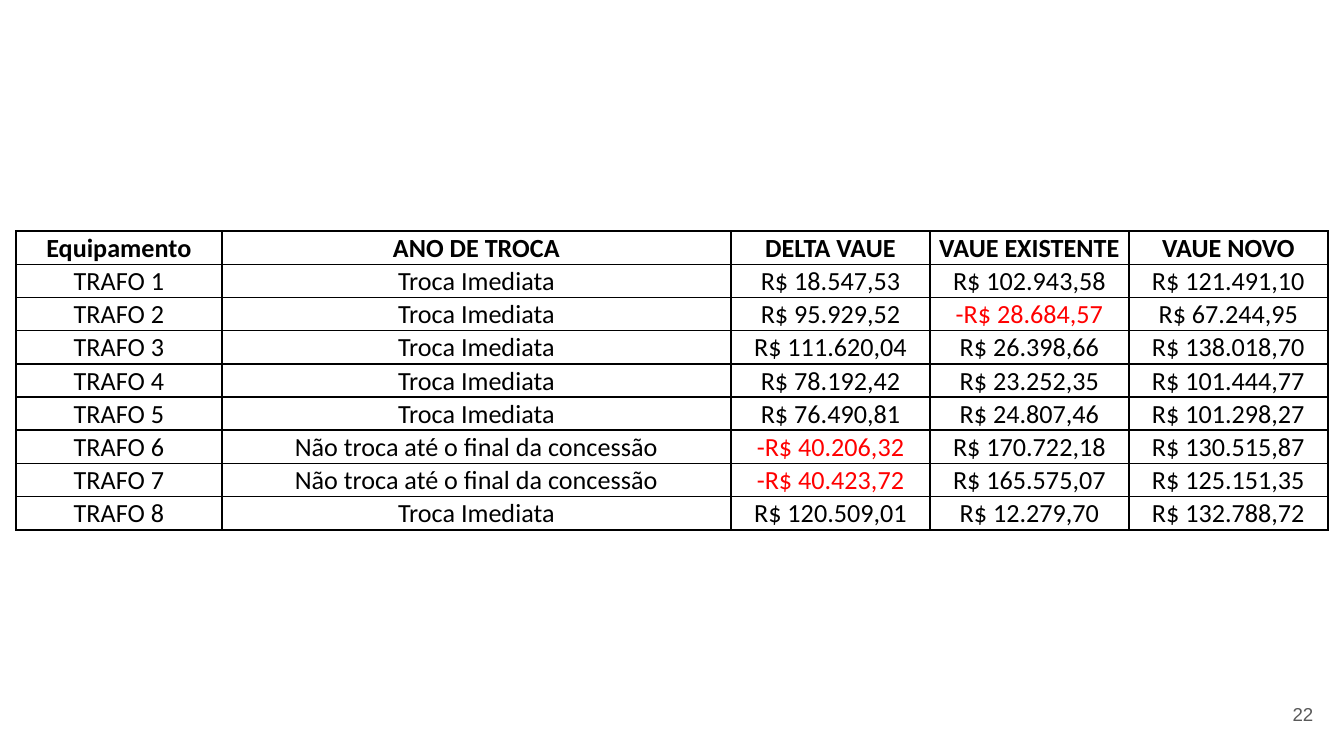
from dataclasses import dataclass

from lxml import etree
from pptx import Presentation
from pptx.dml.color import RGBColor
from pptx.enum.text import MSO_ANCHOR, PP_ALIGN
from pptx.oxml.ns import qn
from pptx.util import Inches, Pt

CENTER, RIGHT = PP_ALIGN.CENTER, PP_ALIGN.RIGHT
MIDDLE = MSO_ANCHOR.MIDDLE
WIDE = Inches(10)
SIZE = {"slide_width": WIDE, "slide_height": WIDE * 9 // 16}
COLORS = {"text": "000000", "loss": "FF0000", "line": "000000", "page": "595959"}
WIDTHS = (1.53, 3.79, 1.48, 1.48, 1.48)
HEADS = ("Equipamento", "ANO DE TROCA", "DELTA VAUE", "VAUE EXISTENTE", "VAUE NOVO")
NOW = "Troca Imediata"
NEVER = "Não troca até o final da concessão"
CELL = {
    "margin_left": Inches(0.01),
    "margin_top": Inches(0.01),
    "margin_right": Inches(0.01),
    "margin_bottom": Inches(0),
    "vertical_anchor": MIDDLE,
}
FRAME = {"word_wrap": True, "vertical_anchor": MIDDLE}
FRAME |= {f"margin_{side}": Inches(0.1) for side in ("left", "top", "right", "bottom")}


@dataclass
class Trafo:
    year: str
    delta: str
    old: str
    new: str


TRAFOS = (
    Trafo(NOW, "R$ 18.547,53", "R$ 102.943,58", "R$ 121.491,10"),
    Trafo(NOW, "R$ 95.929,52", "-R$ 28.684,57", "R$ 67.244,95"),
    Trafo(NOW, "R$ 111.620,04", "R$ 26.398,66", "R$ 138.018,70"),
    Trafo(NOW, "R$ 78.192,42", "R$ 23.252,35", "R$ 101.444,77"),
    Trafo(NOW, "R$ 76.490,81", "R$ 24.807,46", "R$ 101.298,27"),
    Trafo(NEVER, "-R$ 40.206,32", "R$ 170.722,18", "R$ 130.515,87"),
    Trafo(NEVER, "-R$ 40.423,72", "R$ 165.575,07", "R$ 125.151,35"),
    Trafo(NOW, "R$ 120.509,01", "R$ 12.279,70", "R$ 132.788,72"),
)


def apply(target, values: dict) -> None:
    for name, value in values.items():
        setattr(target, name, value)


def write(frame, text: str, align, color: str, font: dict) -> None:
    para = frame.paragraphs[0]
    para.alignment = align
    run = para.add_run()
    run.text = text
    apply(run.font, font)
    run.font.color.rgb = RGBColor.from_string(COLORS[color])


def outline(cell) -> None:
    """Draw a one-point line on all four sides of the cell."""
    props = cell._tc.get_or_add_tcPr()
    for side in ("lnL", "lnR", "lnT", "lnB"):
        line = etree.SubElement(props, qn(f"a:{side}"), w=str(Pt(1)))
        fill = etree.SubElement(line, qn("a:solidFill"))
        etree.SubElement(fill, qn("a:srgbClr"), val=COLORS["line"])


def draw_cell(cell, text: str, bold: bool) -> None:
    apply(cell, CELL)
    outline(cell)
    cell.fill.background()
    color = "loss" if text.startswith("-") else "text"
    write(cell.text_frame, text, CENTER, color,
          {"name": "Calibri", "size": Pt(14), "bold": bold})


def draw_table(slide) -> None:
    rows = [HEADS]
    rows += [(f"TRAFO {num}", item.year, item.delta, item.old, item.new)
             for num, item in enumerate(TRAFOS, 1)]
    table = slide.shapes.add_table(
        len(rows), len(HEADS), Inches(0.12), Inches(1.72),
        Inches(sum(WIDTHS)), Inches(2.19)).table
    apply(table, {"first_row": False, "horz_banding": False})
    for column, width in zip(table.columns, WIDTHS):
        column.width = Inches(width)
    for r, row in enumerate(rows):
        table.rows[r].height = Inches(0.21)
        for c, text in enumerate(row):
            draw_cell(table.cell(r, c), text, r == 0)


def draw_page(slide) -> None:
    box = slide.shapes.add_textbox(Inches(9.27), Inches(5.1), Inches(0.6), Inches(0.43))
    apply(box.text_frame, FRAME)
    write(box.text_frame, "22", RIGHT, "page", {"name": "Arial", "size": Pt(10)})


def main() -> None:
    deck = Presentation()
    apply(deck, SIZE)
    slide = deck.slides.add_slide(deck.slide_layouts[6])
    draw_table(slide)
    draw_page(slide)
    deck.save("out.pptx")


if __name__ == "__main__":
    main()
